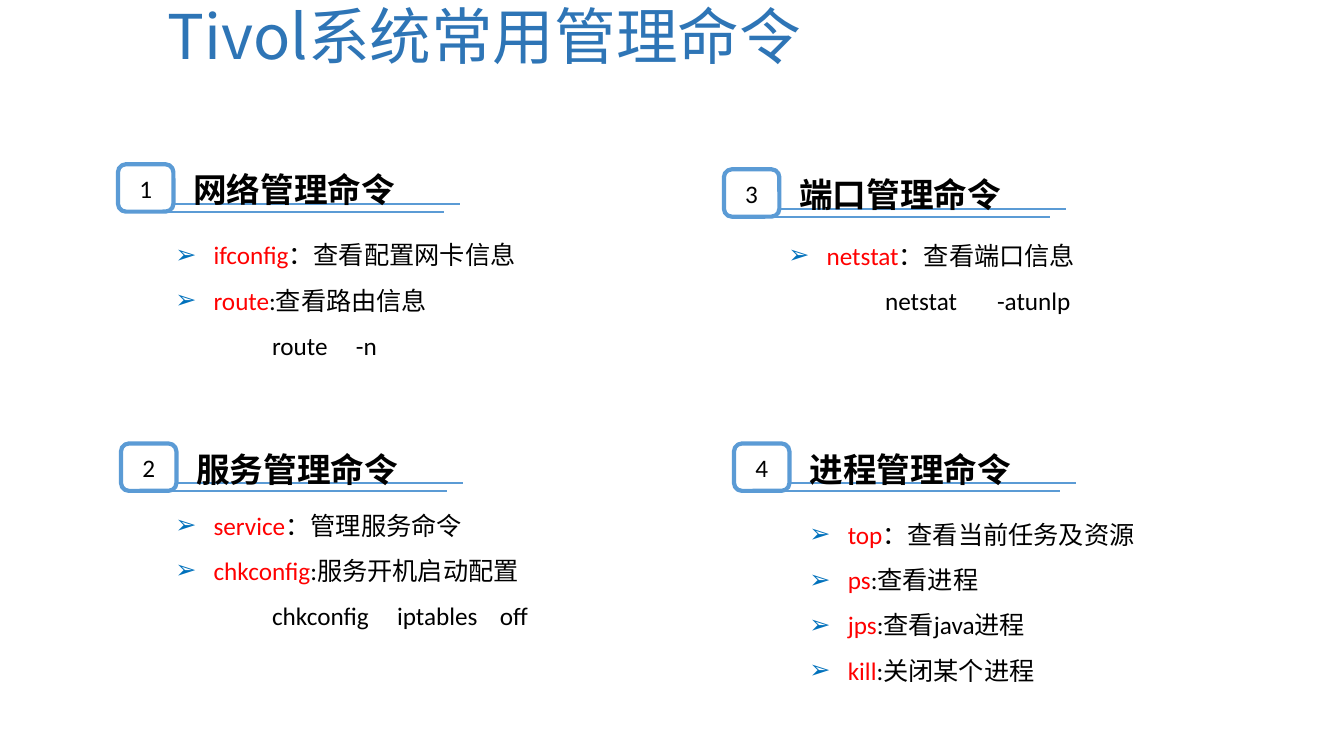
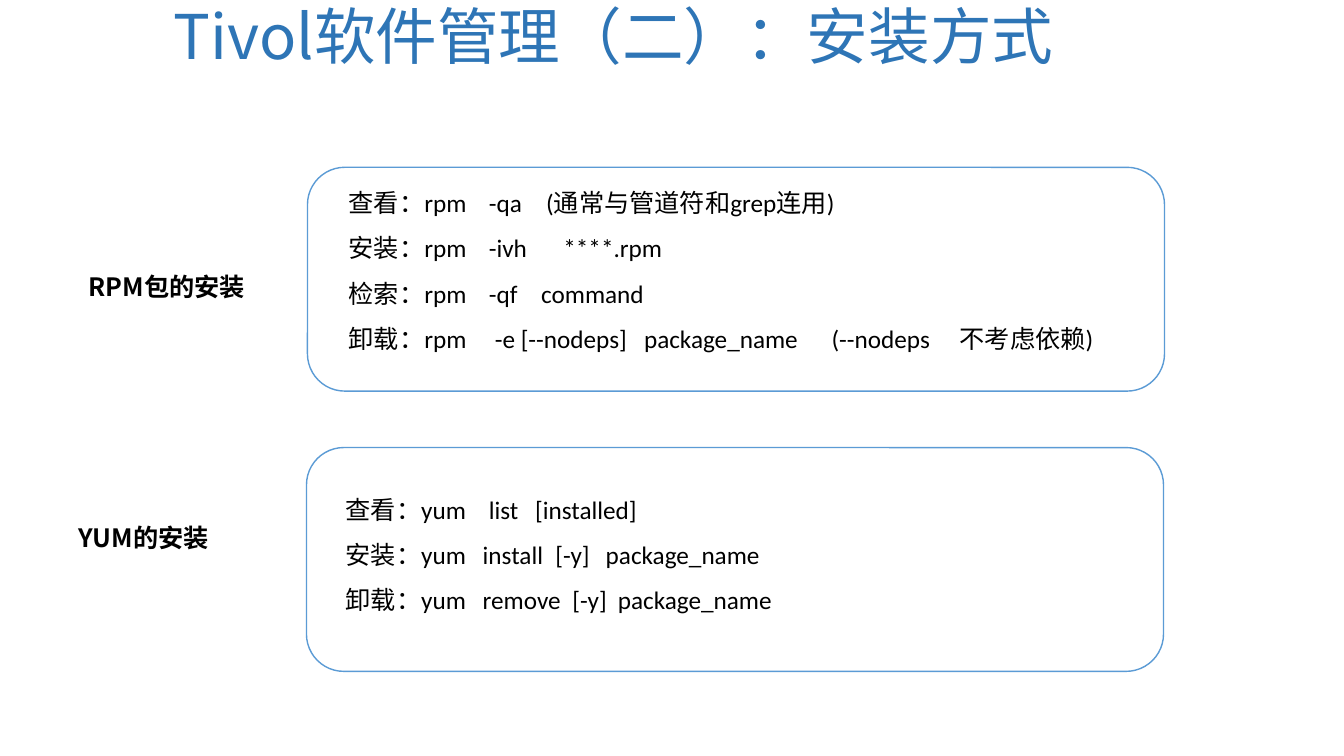
from lxml import etree
from pptx import Presentation
from pptx.dml.color import RGBColor
from pptx.enum.shapes import MSO_CONNECTOR, MSO_SHAPE
from pptx.enum.text import MSO_ANCHOR, MSO_AUTO_SIZE, PP_ALIGN
from pptx.oxml.ns import qn
from pptx.util import Inches, Pt

COLORS = {
    "title": "2E75B6",
    "outline": "5B9BD5",
    "bullet": "0071BC",
    "command": "FF0000",
    "text": "000000",
    "panel": "FFFFFF",
}
LATIN_FONT = "Calibri"
CJK_FONT = "Noto Sans CJK SC"
TITLE_ONLY = 5
STRAIGHT = MSO_CONNECTOR.STRAIGHT
BADGE = MSO_SHAPE.ROUNDED_RECTANGLE
PANEL = MSO_SHAPE.FLOWCHART_ALTERNATE_PROCESS
LEFT, CENTER = PP_ALIGN.LEFT, PP_ALIGN.CENTER
MIDDLE, BOTTOM = MSO_ANCHOR.MIDDLE, MSO_ANCHOR.BOTTOM
NO_FIT, GROW = MSO_AUTO_SIZE.NONE, MSO_AUTO_SIZE.SHAPE_TO_FIT_TEXT
BULLET_INDENT = 0.38
EXAMPLE_INDENT = 0.96

# Badge position, number, heading
SECTIONS = [
    (1.17, 1.63, "1", "网络管理命令"),
    (1.20, 4.40, "2", "服务管理命令"),
    (7.18, 1.68, "3", "端口管理命令"),
    (7.28, 4.40, "4", "进程管理命令"),
]

# List position, (command, meaning) pairs, example line with its tab stops
COMMAND_LISTS = [
    (1.64, 2.18, 1.46, [("ifconfig", "：查看配置网卡信息"), ("route", ":查看路由信息")],
     ("\troute\t-n", [EXAMPLE_INDENT, 1.79])),
    (1.64, 4.86, 1.46, [("service", "：管理服务命令"), ("chkconfig", ":服务开机启动配置")],
     ("\tchkconfig\tiptables\toff", [EXAMPLE_INDENT, 2.2, 3.22])),
    (7.72, 2.18, 1.01, [("netstat", "：查看端口信息")],
     ("\tnetstat\t-atunlp", [EXAMPLE_INDENT, 2.07])),
    (7.93, 4.95, 1.92, [("top", "：查看当前任务及资源"), ("ps", ":查看进程"),
                        ("jps", ":查看java进程"), ("kill", ":关闭某个进程")], None),
]

# Panel position, label and its position, text position, lines with tab stops
INSTALL_METHODS = [
    ((3.05, 1.66), "RPM包的安装", (0.78, 2.49), (3.36, 1.66, 1.92), [
        ("查看：rpm\t-qa\t(通常与管道符和grep连用)", [1.39, 1.96]),
        ("安装：rpm\t-ivh\t****.rpm", [1.39, 2.13]),
        ("检索：rpm\t-qf\tcommand", [1.39, 1.91]),
        ("卸载：rpm\t-e [--nodeps]\tpackage_name\t(--nodeps\t不考虑依赖)",
         [1.45, 2.93, 4.79, 6.06]),
    ]),
    ((3.04, 4.44), "YUM的安装", (0.68, 4.98), (3.33, 4.70, 1.46), [
        ("查看：yum\tlist\t[installed]", [1.42, 1.88]),
        ("安装：yum\tinstall\t[-y]\tpackage_name", [1.36, 2.08, 2.58]),
        ("卸载：yum\tremove\t[-y]\tpackage_name", [1.36, 2.25, 2.7]),
    ]),
]


def rgb(name):
    return RGBColor.from_string(COLORS[name])


def add_text(paragraph, text, size=18, color="text", bold=False, font=LATIN_FONT,
             align=LEFT, spacing=1.5):
    """Add a formatted run to a paragraph."""
    paragraph.alignment = align
    paragraph.line_spacing = spacing
    run = paragraph.add_run()
    run.text = text
    run.font.size = Pt(size)
    run.font.bold = bold
    run.font.name = font
    run.font.color.rgb = rgb(color)
    properties = run.font._element
    etree.SubElement(properties, qn("a:ea")).set("typeface", CJK_FONT)


def add_bullet(paragraph):
    properties = paragraph._p.get_or_add_pPr()
    properties.set("marL", str(Inches(BULLET_INDENT)))
    properties.set("indent", str(-Inches(BULLET_INDENT)))
    color = etree.SubElement(properties, qn("a:buClr"))
    etree.SubElement(color, qn("a:srgbClr")).set("val", COLORS["bullet"])
    etree.SubElement(properties, qn("a:buFont")).set("typeface", LATIN_FONT)
    etree.SubElement(properties, qn("a:buChar")).set("char", "➢")


def add_tab_stops(paragraph, stops):
    tab_list = etree.SubElement(paragraph._p.get_or_add_pPr(), qn("a:tabLst"))
    for stop in stops:
        tab = etree.SubElement(tab_list, qn("a:tab"))
        tab.set("pos", str(Inches(stop)))
        tab.set("algn", "l")


def add_text_frame(shapes, left, top, width, height, wrap=True):
    box = shapes.add_textbox(Inches(left), Inches(top), Inches(width), Inches(height))
    box.text_frame.word_wrap = wrap
    box.text_frame.auto_size = GROW
    return box.text_frame


def next_paragraph(frame):
    """Return the first paragraph while it is empty, then new ones."""
    first = frame.paragraphs[0]
    return frame.add_paragraph() if first.runs else first


def add_tabbed_line(frame, text, stops):
    paragraph = next_paragraph(frame)
    add_text(paragraph, text)
    add_tab_stops(paragraph, stops)


def add_outlined_shape(shapes, kind, left, top, width, height, line_width):
    shape = shapes.add_shape(kind, Inches(left), Inches(top), Inches(width), Inches(height))
    shape.shadow.inherit = False
    shape.fill.solid()
    shape.fill.fore_color.rgb = rgb("panel")
    shape.line.color.rgb = rgb("outline")
    shape.line.width = Pt(line_width)
    return shape


def add_rule(shapes, left, top, length):
    rule = shapes.add_connector(STRAIGHT, Inches(left), Inches(top),
                                Inches(left + length), Inches(top))
    rule.line.color.rgb = rgb("outline")
    rule.line.width = Pt(1.5)
    etree.SubElement(rule._element.spPr, qn("a:effectLst"))


def add_section_heading(slide, left, top, number, heading):
    """Numbered badge with a double underline and a heading."""
    shapes = slide.shapes.add_group_shape().shapes
    badge = add_outlined_shape(shapes, BADGE, left, top, 0.55, 0.47, 3)
    badge.text_frame.vertical_anchor = MIDDLE
    add_text(badge.text_frame.paragraphs[0], number, align=CENTER, spacing=1.0)
    add_rule(shapes, left + 0.55, top + 0.39, 2.84)
    add_rule(shapes, left + 0.39, top + 0.47, 2.84)
    frame = add_text_frame(shapes, left + 0.65, top - 0.2, 2.23, 0.71, wrap=False)
    add_text(frame.paragraphs[0], heading, size=24, bold=True)


def add_command_list(slide, left, top, height, commands, example):
    frame = add_text_frame(slide.shapes, left, top, 4.69, height)
    for command, meaning in commands:
        paragraph = next_paragraph(frame)
        add_text(paragraph, command, color="command")
        add_text(paragraph, meaning)
        add_bullet(paragraph)
    if example:
        add_tabbed_line(frame, *example)


def add_install_method(slide, panel, label, label_position, text_box, lines):
    add_outlined_shape(slide.shapes, PANEL, *panel, 8.5, 2.22, 1)
    label_frame = add_text_frame(slide.shapes, *label_position, 2.38, 0.57)
    add_text(label_frame.paragraphs[0], label, bold=True, font=CJK_FONT)
    left, top, height = text_box
    frame = add_text_frame(slide.shapes, left, top, 8.66, height)
    for text, stops in lines:
        add_tabbed_line(frame, text, stops)


def add_titled_slide(presentation, title, left, top, height):
    slide = presentation.slides.add_slide(presentation.slide_layouts[TITLE_ONLY])
    shape = slide.shapes.title
    shape.left, shape.top = Inches(left), Inches(top)
    shape.width, shape.height = Inches(10), Inches(height)
    frame = shape.text_frame
    frame.vertical_anchor = BOTTOM
    frame.auto_size = NO_FIT
    add_text(frame.paragraphs[0], title, size=44, color="title", font=CJK_FONT, spacing=0.9)
    return slide


def main():
    presentation = Presentation()
    presentation.slide_width = Inches(13.33)
    presentation.slide_height = Inches(7.5)

    # Management commands
    slide = add_titled_slide(presentation, "Tivol系统常用管理命令", 1.56, 0, 0.77)
    for section in SECTIONS:
        add_section_heading(slide, *section)
    for command_list in COMMAND_LISTS:
        add_command_list(slide, *command_list)

    # Installation methods
    slide = add_titled_slide(presentation, "Tivol软件管理（二）：安装方式", 1.62, 0, 0.77)
    for method in INSTALL_METHODS:
        add_install_method(slide, *method)

    presentation.save("out.pptx")


if __name__ == "__main__":
    main()
